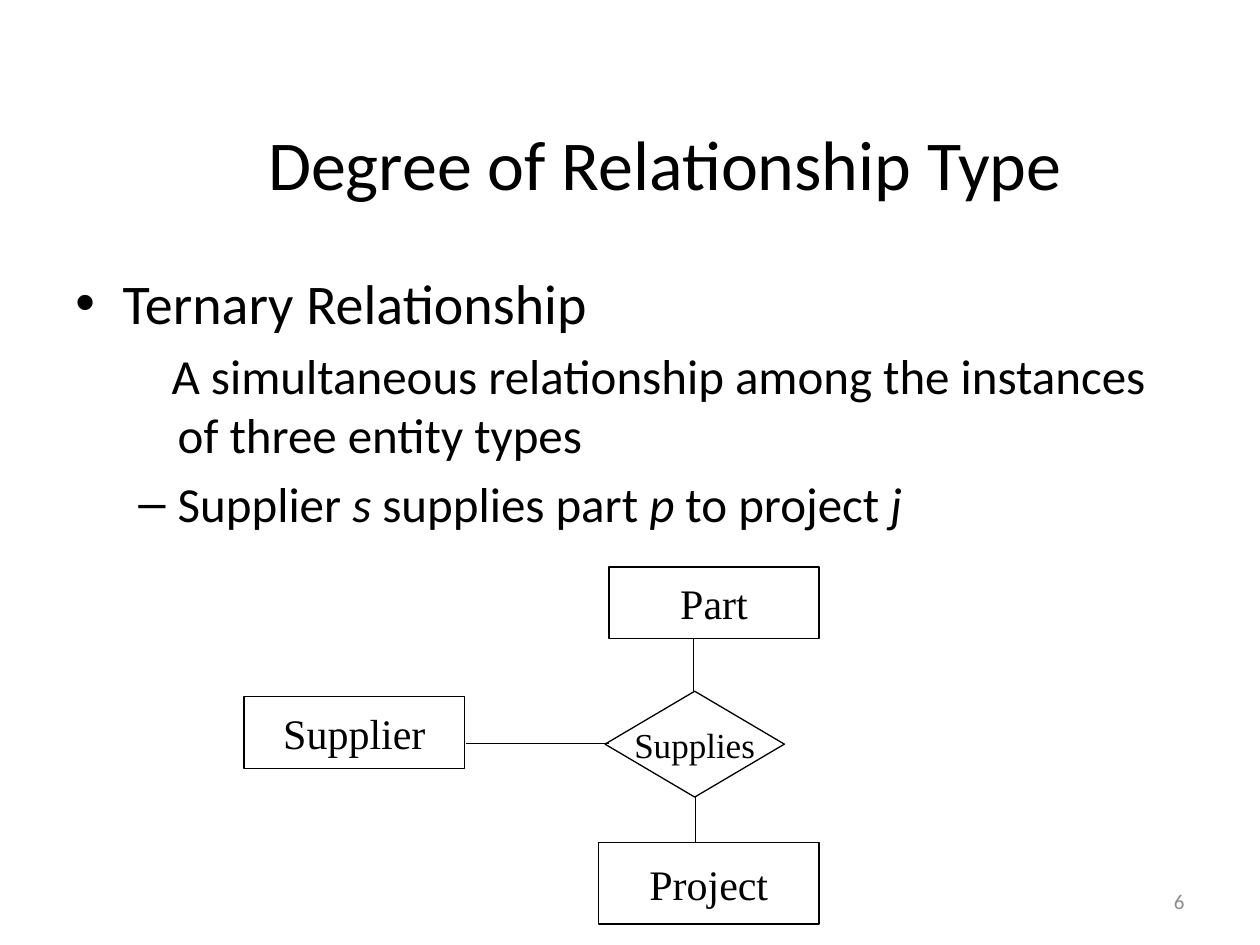
from dataclasses import dataclass

from lxml import etree
from pptx import Presentation
from pptx.dml.color import RGBColor
from pptx.enum.shapes import MSO_CONNECTOR, MSO_SHAPE
from pptx.enum.text import MSO_ANCHOR, PP_ALIGN
from pptx.oxml.ns import qn
from pptx.util import Pt

RECTANGLE, DIAMOND = MSO_SHAPE.RECTANGLE, MSO_SHAPE.DIAMOND
STRAIGHT = MSO_CONNECTOR.STRAIGHT
TOP, MIDDLE = MSO_ANCHOR.TOP, MSO_ANCHOR.MIDDLE
LEFT, CENTER, RIGHT = PP_ALIGN.LEFT, PP_ALIGN.CENTER, PP_ALIGN.RIGHT


@dataclass(frozen=True)
class Theme:
    """Fonts, colours and type sizes of the slide."""

    text_font: str = "Calibri"
    diagram_font: str = "Times New Roman"
    ink: RGBColor = RGBColor(0, 0, 0)
    muted: RGBColor = RGBColor(0x8C, 0x8C, 0x8C)
    title: int = 40
    topic: int = 32
    detail: int = 28
    entity: int = 24
    relationship: int = 20
    number: int = 12
    outline: float = 0.75
    thin: float = 0.5


class SlideWriter:
    """Draws styled elements on one slide."""

    def __init__(self, slide, theme):
        """Keep the slide and its theme."""
        self.slide = slide
        self.theme = theme

    def style(self, run, size, font, color):
        """Format one run."""
        run.font.size = Pt(size)
        run.font.name = font
        run.font.color.rgb = color

    def frame(self, left, top, width, height, anchor=MIDDLE):
        """Add a wrapping text box and return its text frame."""
        box = self.slide.shapes.add_textbox(Pt(left), Pt(top), Pt(width), Pt(height))
        frame = box.text_frame
        frame.word_wrap = True
        frame.vertical_anchor = anchor
        return frame

    def label(self, text, area, size, color, align, inset=7.2):
        """Add a single line of text."""
        frame = self.frame(*area)
        frame.margin_left = Pt(inset)
        frame.text = text
        line = frame.paragraphs[0]
        line.alignment = align
        self.style(line.runs[0], size, self.theme.text_font, color)

    def outline(self, area, items):
        """Add paragraphs given as (parts, size, margin, indent, bullet).

        Every second part of a paragraph is italic.
        """
        frame = self.frame(*area, anchor=TOP)
        for index, (parts, size, margin, indent, bullet) in enumerate(items):
            item = frame.add_paragraph() if index else frame.paragraphs[0]
            item.alignment = LEFT
            item.space_before = Pt(size * 0.2)
            for position, part in enumerate(parts):
                run = item.add_run()
                run.text = part
                run.font.italic = position % 2 == 1
                self.style(run, size, self.theme.text_font, self.theme.ink)
            properties = item._p.get_or_add_pPr()
            properties.set("marL", str(Pt(margin)))
            properties.set("indent", str(Pt(indent)))
            if bullet:
                face = etree.SubElement(properties, qn("a:buFont"))
                face.set("typeface", "Arial")
                etree.SubElement(properties, qn("a:buChar")).set("char", bullet)
            else:
                etree.SubElement(properties, qn("a:buNone"))

    def node(self, kind, text, area, size):
        """Add an outlined diagram node with centred text."""
        node = self.slide.shapes.add_shape(kind, *map(Pt, area))
        node.shadow.inherit = False
        node.fill.background()
        node.line.color.rgb = self.theme.ink
        node.line.width = Pt(self.theme.outline)
        frame = node.text_frame
        frame.word_wrap = False
        frame.vertical_anchor = MIDDLE
        frame.text = text
        frame.paragraphs[0].alignment = CENTER
        self.style(frame.paragraphs[0].runs[0], size,
                   self.theme.diagram_font, self.theme.ink)

    def link(self, start, end, width):
        """Add a straight line between two points."""
        link = self.slide.shapes.add_connector(STRAIGHT, *map(Pt, start + end))
        link.line.color.rgb = self.theme.ink
        link.line.width = Pt(width)
        etree.SubElement(link._element.spPr, qn("a:effectLst"))


def main():
    """Build and save the slide."""
    theme = Theme()
    deck = Presentation()
    deck.slide_width, deck.slide_height = Pt(720), Pt(540)
    writer = SlideWriter(deck.slides.add_slide(deck.slide_layouts[6]), theme)

    writer.label("Degree of Relationship Type", (36, 48, 648, 90),
                 theme.title, theme.ink, CENTER, inset=47)
    writer.label("6", (516, 500.5, 168, 28.75), theme.number, theme.muted, RIGHT)
    writer.outline((36, 150, 648, 332.5), [
        (["Ternary Relationship"], theme.topic, 27, -27, "•"),
        (["A simultaneous relationship among the instances of three entity types"],
         theme.detail, 58.5, -3.5, None),
        (["Supplier ", "s ", "supplies part ", "p", " to project ", "j"],
         theme.detail, 58.5, -22.5, "–"),
    ])

    links = [
        ((348, 425), (266.5, 425), theme.thin),
        ((396.5, 395), (396.5, 365), theme.outline),
        ((397.5, 455.5), (397.5, 481.5), theme.thin),
    ]
    for start, end, width in links:
        writer.link(start, end, width)

    entities = [
        ("Part", (348, 324, 120, 41)),
        ("Project", (342, 481.5, 126, 46.5)),
        ("Supplier", (139.5, 398, 126, 41)),
    ]
    for name, area in entities:
        writer.node(RECTANGLE, name, area, theme.entity)
    writer.node(DIAMOND, "Supplies", (345.75, 395, 102.5, 60.5), theme.relationship)

    deck.save("out.pptx")


main()
